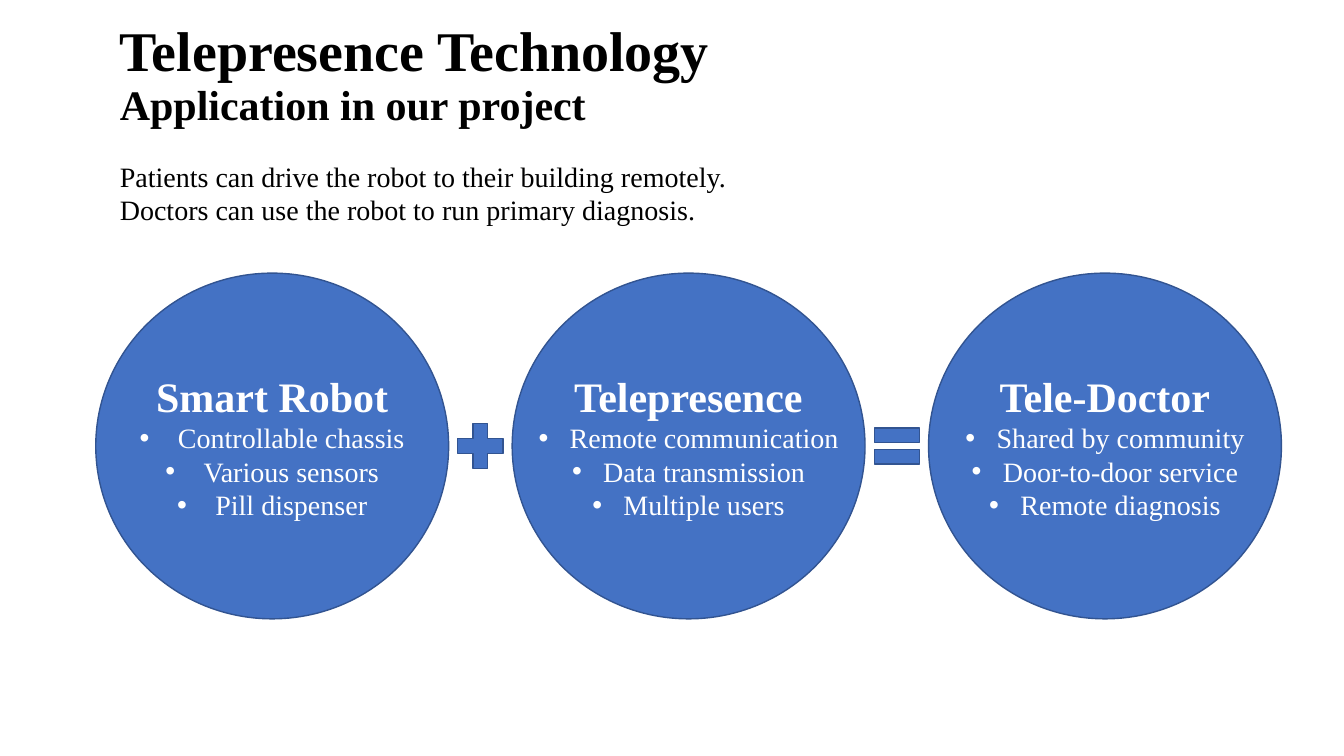
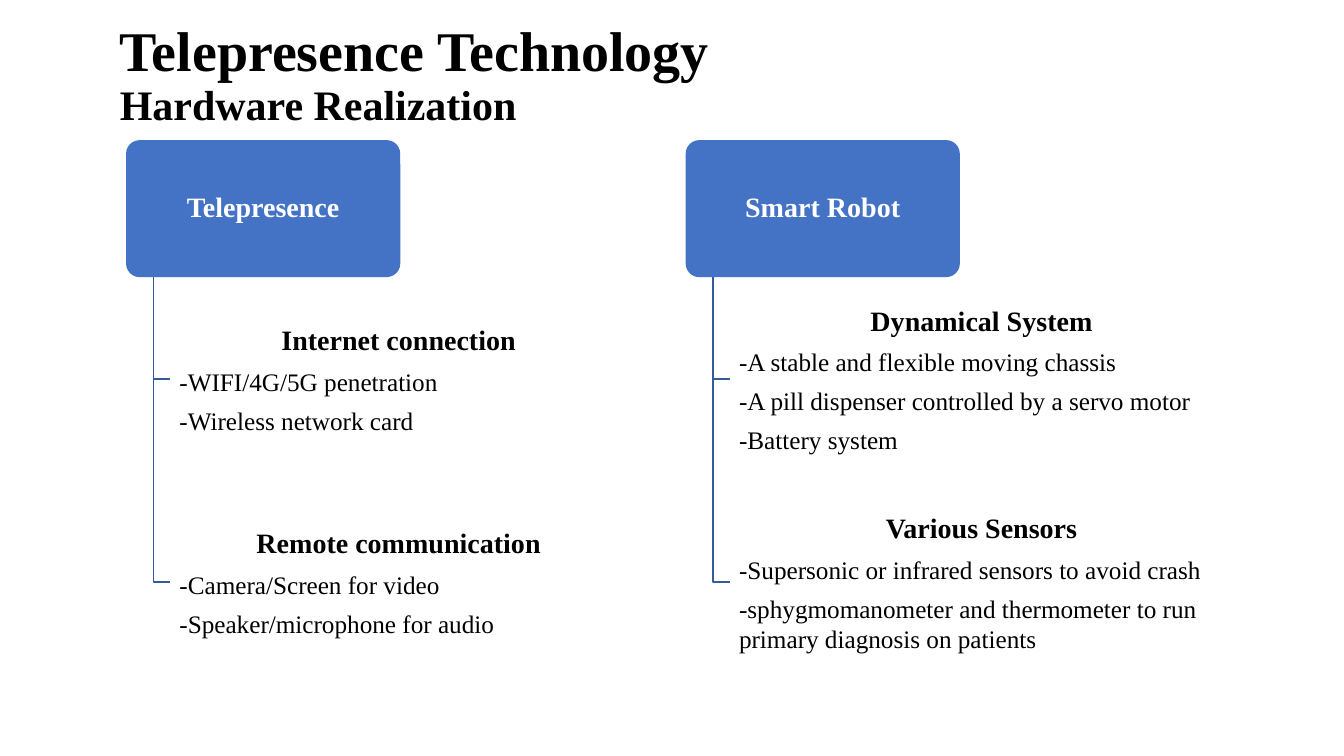
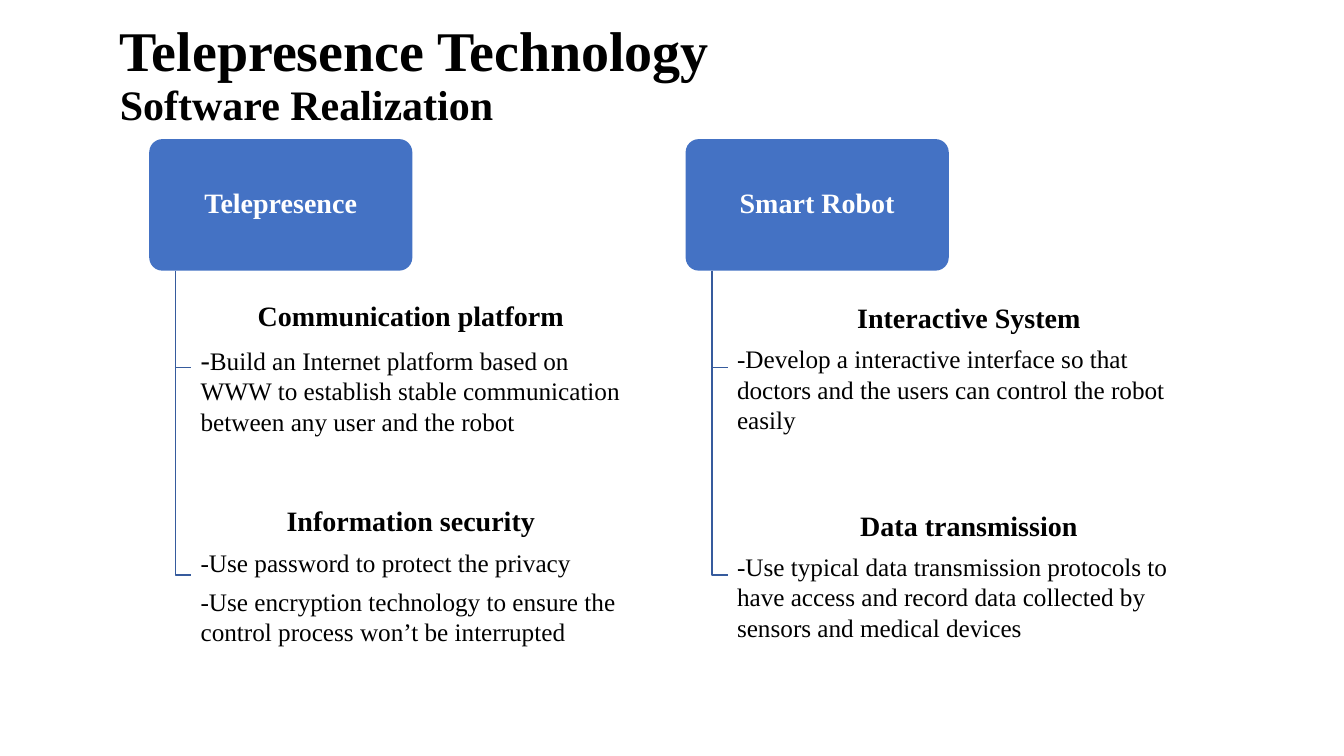
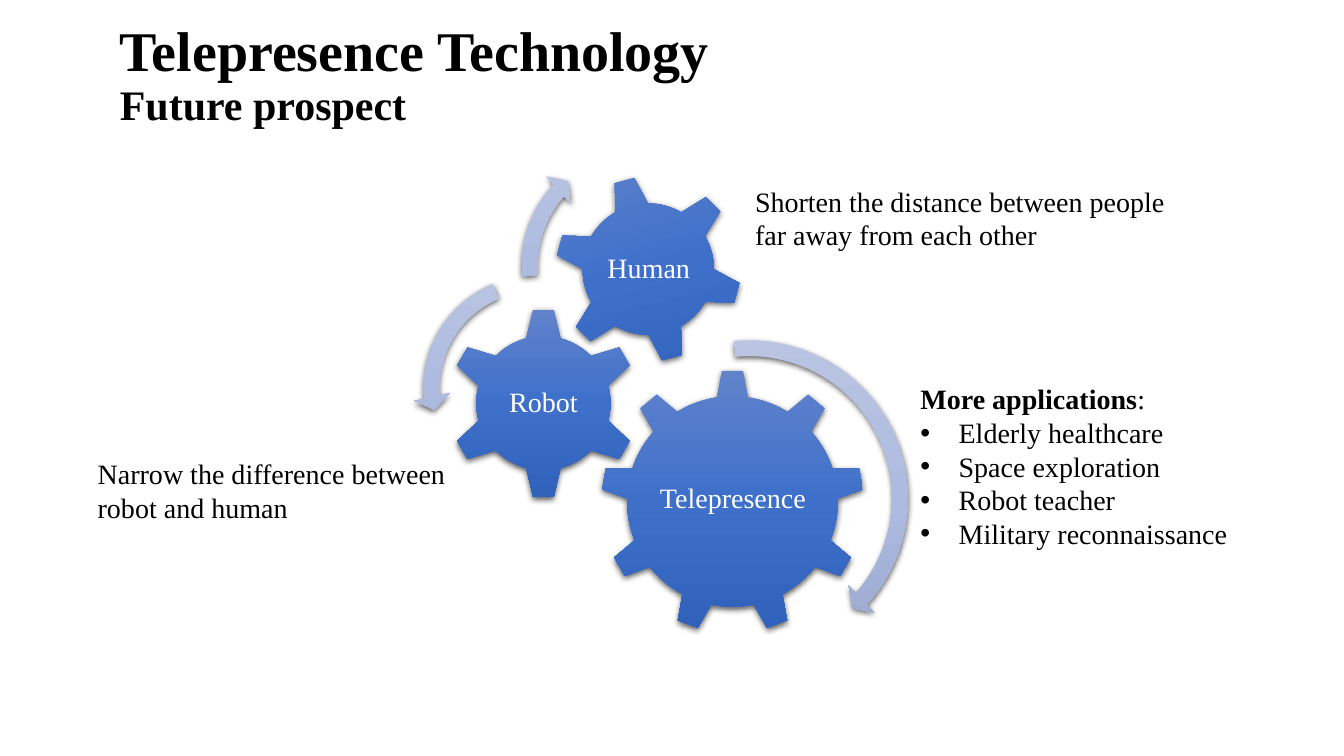
"""Build four slides on telepresence technology."""
from lxml import etree
from pptx import Presentation
from pptx.dml.color import RGBColor
from pptx.enum.shapes import MSO_SHAPE
from pptx.enum.text import MSO_ANCHOR, MSO_AUTO_SIZE, PP_ALIGN
from pptx.oxml import parse_xml
from pptx.oxml.ns import nsdecls, qn
from pptx.util import Inches, Pt

BLACK = RGBColor(0x00, 0x00, 0x00)
WHITE = RGBColor(0xFF, 0xFF, 0xFF)
BLUE = RGBColor(0x44, 0x72, 0xC4)
EDGE = RGBColor(0x32, 0x54, 0x91)
STEM = RGBColor(0x36, 0x5B, 0x9D)
DEEP = [RGBColor(0x61, 0x83, 0xCB), RGBColor(0x3E, 0x70, 0xCA), RGBColor(0x30, 0x62, 0xBB)]
PALE = [RGBColor(0xBB, 0xC5, 0xE3), RGBColor(0xAE, 0xBB, 0xE0), RGBColor(0x98, 0xA4, 0xCB)]

LEFT, CENTER = PP_ALIGN.LEFT, PP_ALIGN.CENTER
TOP, MIDDLE, BOTTOM = MSO_ANCHOR.TOP, MSO_ANCHOR.MIDDLE, MSO_ANCHOR.BOTTOM
FIXED = MSO_AUTO_SIZE.NONE
OVAL, ROUND = MSO_SHAPE.OVAL, MSO_SHAPE.ROUNDED_RECTANGLE
PLUS, EQUAL = MSO_SHAPE.MATH_PLUS, MSO_SHAPE.MATH_EQUAL
GEAR6, GEAR9 = MSO_SHAPE.GEAR_6, MSO_SHAPE.GEAR_9
ARC, BACK = MSO_SHAPE.CIRCULAR_ARROW, MSO_SHAPE.LEFT_CIRCULAR_ARROW

FONT = "Times New Roman"
MARGIN = 1.09
GAP = 0.35


def box(slide, left, top, wide, high, anchor=TOP, side=0.1, edge=0.05):
    """Add a wrapping text box and return its frame."""
    area = [Inches(n) for n in (left, top, wide, high)]
    frame = slide.shapes.add_textbox(*area).text_frame
    frame.auto_size, frame.word_wrap = FIXED, True
    frame.vertical_anchor = anchor
    frame.margin_left = frame.margin_right = Inches(side)
    frame.margin_top = frame.margin_bottom = Inches(edge)
    return frame


def write(frame, text, size, tail="", small=0, color=BLACK, bold=False,
          align=LEFT, line=1.0, gap=0, indent=0):
    """Add one paragraph, with an optional tail in a second size."""
    para = frame.paragraphs[0]
    if para.runs:
        para = frame.add_paragraph()
    para.text = text
    if indent:
        props = para._p.get_or_add_pPr()
        props.set("marL", str(Inches(indent)))
        props.set("indent", str(-Inches(indent)))
        etree.SubElement(props, qn("a:buFont")).set("typeface", "Arial")
        etree.SubElement(props, qn("a:buChar")).set("char", "•")
    para.alignment, para.line_spacing = align, line
    para.space_after = Pt(size * gap)
    font = para.font
    font.name, font.size, font.bold = FONT, Pt(size), bold
    font.color.rgb = color
    if tail:
        run = para.add_run()
        run.text, run.font.size = tail, Pt(small)
    return para


deck = Presentation()
deck.slide_width, deck.slide_height = Inches(13.33), Inches(7.5)
pages = []
for topic in ("Application in our project", "Hardware Realization",
              "Software Realization", "Future prospect"):
    slide = deck.slides.add_slide(deck.slide_layouts[6])
    frame = box(slide, MARGIN, 0.72, 7.03, 0.61, BOTTOM)
    write(frame, "Telepresence Technology\v", 40, topic, 30, bold=True, line=0.9)
    pages.append(slide)
intro, hard, soft, future = pages

frame = box(intro, MARGIN, 1.53, 8.14, 0.77)
write(frame, "Patients can drive the robot to their building remotely.", 20)
write(frame, "Doctors can use the robot to run primary diagnosis.", 20)

STEP, WIDE, HIGH, SIGN = 4.13, 3.5, 3.43, 0.61
circles = [
    ("Smart Robot", 0.38, ("Controllable chassis", "Various sensors", "Pill dispenser")),
    ("Telepresence", 0.31, ("Remote communication", "Data transmission", "Multiple users")),
    ("Tele-Doctor", 0.31, ("Shared by community", "Door-to-door service", "Remote diagnosis")),
]
parts = [(OVAL, 0.95 + STEP * i, 2.71, WIDE, HIGH) for i in range(3)]
parts += [(kind, 4.46 + STEP * i, 4.12, SIGN, SIGN) for i, kind in enumerate((PLUS, EQUAL))]
shapes = []
for kind, *area in parts:
    shape = intro.shapes.add_shape(kind, *[Inches(n) for n in area])
    shape.shadow.inherit = False
    shape.fill.solid()
    shape.fill.fore_color.rgb = BLUE
    shape.line.color.rgb, shape.line.width = EDGE, Pt(1)
    shapes.append(shape)
for shape, (head, indent, items) in zip(shapes, circles):
    frame = shape.text_frame
    frame.word_wrap, frame.vertical_anchor = False, MIDDLE
    write(frame, head, 30, color=WHITE, bold=True, align=CENTER)
    for item in items:
        write(frame, item, 20, color=WHITE, align=CENTER, indent=indent)

trees = [
    (hard, 1.39, 2.72, ((2.96, 1.6), (4.95, 1.65)), [
        ("Telepresence", 1.25, 4.43, [
            ("Internet connection", [("-WIFI/4G/5G penetration", 18),
                                     ("-Wireless network card", 18)]),
            ("Remote communication", [("-Camera/Screen for video", 18),
                                      ("-Speaker/microphone for audio", 18)])]),
        ("Smart Robot", 6.8, 4.89, [
            ("Dynamical System", [("-A stable and flexible moving chassis", 18),
                                  ("-A pill dispenser controlled by a servo motor", 18),
                                  ("-Battery system", 18)]),
            ("Various Sensors", [("-Supersonic or infrared sensors to avoid crash", 18),
                                 ("-sphygmomanometer and thermometer to run "
                                  "primary diagnosis on patients", 18)])])]),
    (soft, 1.38, 2.61, ((2.88, 1.53), (4.8, 1.81)), [
        ("Telepresence", 1.48, 4.25, [
            ("Communication platform", [("-", 20, "Build an Internet platform based on WWW to "
                                         "establish stable communication between any user "
                                         "and the robot", 18)]),
            ("Information security", [("-Use password to protect the privacy", 18),
                                      ("-Use encryption technology to ensure the "
                                       "control process won’t be interrupted", 18)])]),
        ("Smart Robot", 6.8, 4.68, [
            ("Interactive System", [("-Develop a interactive interface so that doctors and "
                                     "the users can control the robot easily", 18)]),
            ("Data transmission", [("-Use typical data transmission protocols to have access "
                                    "and record data collected by sensors and medical "
                                    "devices", 18)])])]),
]
for slide, top, wide, rows, columns in trees:
    high = wide / 2
    for head, left, span, topics in columns:
        area = [Inches(n) for n in (left, top, wide, high)]
        shape = slide.shapes.add_shape(ROUND, *area)
        shape.adjustments[0] = 0.1
        shape.shadow.inherit = False
        shape.fill.solid()
        shape.fill.fore_color.rgb = BLUE
        shape.line.fill.background()
        shape.text_frame.vertical_anchor = MIDDLE
        write(shape.text_frame, head, 20, color=WHITE, bold=True,
              align=CENTER, line=0.9, gap=GAP)
        stem, tip = Inches(left + wide * 0.1), Inches(left + wide * 0.16)
        for (y, tall), (topic, items) in zip(rows, topics):
            mid = Inches(y + tall / 2)
            path = slide.shapes.build_freeform(stem, Inches(top + high))
            path.add_line_segments([(stem, mid), (tip, mid)], close=False)
            branch = path.convert_to_shape()
            branch.shadow.inherit = False
            branch.fill.background()
            branch.line.color.rgb, branch.line.width = STEM, Pt(1)
            frame = box(slide, left + wide * 0.18, y, span, tall, MIDDLE, 0.04, 0.03)
            write(frame, topic, 20, bold=True, align=CENTER, gap=GAP)
            for item in items:
                write(frame, *item, gap=GAP)

wheels = [
    (GEAR9, 5.96, 3.67, 2.61, 0, DEEP, ()),
    (GEAR6, 4.44, 3.05, 1.9, 0, DEEP, ()),
    (GEAR6, 5.5, 1.74, 1.86, 345, DEEP, ()),
    (ARC, 5.76, 3.27, 3.35, 0, PALE, (4.7, 299, 2519.7, 15853.6, 5.5)),
    (BACK, 4.1, 2.63, 2.43, 0, PALE, (6.5, 430, 10489.1, 14837.8, 7.5)),
    (ARC, 5.07, 1.33, 2.62, 0, PALE, (6, 394.1, 13313.8, 10508.2, 7)),
]
for kind, left, top, side, turn, tones, bends in wheels:
    area = [Inches(n) for n in (left, top, side, side)]
    shape = future.shapes.add_shape(kind, *area)
    shape.rotation = turn
    for i, bend in enumerate(bends):
        shape.adjustments[i] = bend / 100
    shape.line.fill.background()
    shape.shadow.inherit = False
    stops = "".join(f'<a:gs pos="{i * 50000}"><a:srgbClr val="{tone}"/></a:gs>'
                    for i, tone in enumerate(tones))
    props = shape._element.spPr
    props.find(qn("a:ln")).addprevious(parse_xml(
        f'<a:gradFill {nsdecls("a")} rotWithShape="1"><a:gsLst>{stops}</a:gsLst>'
        '<a:lin ang="5400000" scaled="0"/></a:gradFill>'))
    props.find(qn("a:effectLst")).append(parse_xml(
        f'<a:outerShdw {nsdecls("a")} blurRad="{Pt(4.5)}" dist="{Pt(1.5)}" dir="5400000" '
        'algn="ctr" rotWithShape="0"><a:srgbClr val="000000"><a:alpha val="63000"/>'
        '</a:srgbClr></a:outerShdw>'))
for name, *area in (("Telepresence", 6.49, 4.28, 1.56, 1.34),
                    ("Robot", 4.92, 3.53, 0.94, 0.94),
                    ("Human", 5.91, 2.15, 1.05, 1.05)):
    frame = box(future, *area, MIDDLE, 0.03, 0.03)
    write(frame, name, 20, color=WHITE, align=CENTER, line=0.9, gap=GAP)

write(box(future, 0.87, 4.48, 3.85, 0.77),
      "Narrow the difference between robot and human", 20)
write(box(future, 7.39, 1.78, 4.33, 0.77),
      "Shorten the distance between people far away from each other", 20)
frame = box(future, 9.03, 3.74, 3.44, 1.78)
para = write(frame, "More applications", 20, ":", 20, bold=True)
para.runs[1].font.bold = False
for item in ("Elderly healthcare", "Space exploration", "Robot teacher",
             "Military reconnaissance"):
    write(frame, item, 20, indent=0.38)

deck.save("out.pptx")
